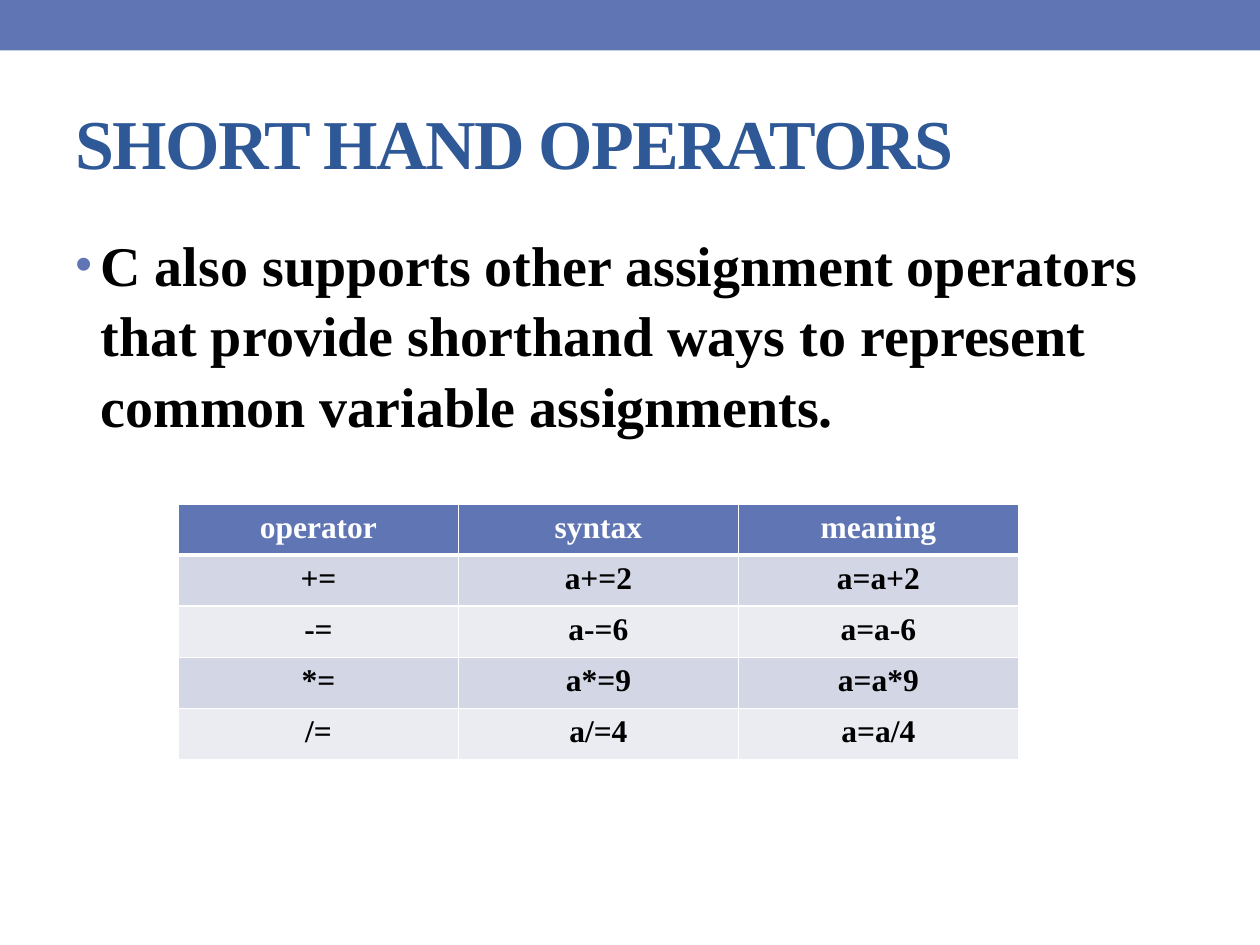
import dataclasses
import typing

import pptx
import pptx.dml.color
import pptx.enum.shapes
import pptx.enum.text
import pptx.oxml
import pptx.oxml.ns
import pptx.util

Pt = pptx.util.Pt
RGB = pptx.dml.color.RGBColor
ALIGN = pptx.enum.text.PP_ALIGN
ANCHOR = pptx.enum.text.MSO_ANCHOR
NS = pptx.oxml.ns.nsdecls("a")


@dataclasses.dataclass(frozen=True)
class Theme:
    font: str = "Times New Roman"
    accent: str = "6076B4"
    title: str = "2F5897"
    text: str = "000000"
    light: str = "FFFFFF"
    bands: tuple[str, str] = ("D2D6E5", "EAECF2")
    title_size: float = 40
    body_size: float = 32
    table_size: float = 18


class Box(typing.NamedTuple):
    left: float
    top: float
    width: float
    height: float

    def lengths(self) -> list[pptx.util.Length]:
        return [Pt(v) for v in self]


class Row(typing.NamedTuple):
    operator: str
    syntax: str
    meaning: str


THEME = Theme()
BAND = Box(0, 0, 720, 28.8)
TITLE = Box(36, 42, 648, 78)
BODY = Box(36, 126, 648, 384)
TABLE = Box(102, 288, 480, 146)
ROWS = [
    Row("operator", "syntax", "meaning"),
    Row("+=", "a+=2", "a=a+2"),
    Row("-=", "a-=6", "a=a-6"),
    Row("*=", "a*=9", "a=a*9"),
    Row("/=", "a/=4", "a=a/4"),
]


def style(p, size: float, color: str, align=ALIGN.LEFT) -> None:
    p.alignment = align
    p.font.name = THEME.font
    p.font.size = Pt(size)
    p.font.bold = True
    p.font.color.rgb = RGB.from_string(color)


def add_band(slide) -> None:
    sp = slide.shapes.add_shape(
        pptx.enum.shapes.MSO_SHAPE.RECTANGLE, *BAND.lengths())
    sp.shadow.inherit = False
    sp.fill.solid()
    sp.fill.fore_color.rgb = RGB.from_string(THEME.accent)
    sp.line.fill.background()


def set_title(slide, text: str) -> None:
    sp = slide.shapes.title
    sp.left, sp.top, sp.width, sp.height = TITLE.lengths()
    tf = sp.text_frame
    tf.text = text
    tf.vertical_anchor = ANCHOR.MIDDLE
    p = tf.paragraphs[0]
    style(p, THEME.title_size, THEME.title)
    p.runs[0].font._element.set("spc", "-100")


def add_body(slide, text: str) -> None:
    tf = slide.shapes.add_textbox(*BODY.lengths()).text_frame
    tf.word_wrap = True
    tf.text = text
    p = tf.paragraphs[0]
    style(p, THEME.body_size, THEME.text)
    p.line_spacing = 1.05
    add_bullet(p, indent=14.4)


def add_bullet(p, indent: float) -> None:
    pPr = p._p.get_or_add_pPr()
    pPr.set("marL", str(Pt(indent)))
    pPr.set("indent", str(-Pt(indent)))
    bullet = (
        f'<a:buClr {NS}><a:srgbClr val="{THEME.accent}"/></a:buClr>',
        f'<a:buSzPct {NS} val="85000"/>',
        f'<a:buFont {NS} typeface="Arial"/>',
        f'<a:buChar {NS} char="•"/>',
    )
    at = 1 + pPr.index(pPr.find(pptx.oxml.ns.qn("a:lnSpc")))
    for offset, xml in enumerate(bullet):
        pPr.insert(at + offset, pptx.oxml.parse_xml(xml))


def set_borders(cell, top: float, bottom: float) -> None:
    """Rule all four sides; the schema wants the lines before the fill."""
    tcPr = cell._tc.get_or_add_tcPr()
    sides = {"lnL": 1, "lnR": 1, "lnT": top, "lnB": bottom}
    for i, (side, width) in enumerate(sides.items()):
        tcPr.insert(i, pptx.oxml.parse_xml(
            f'<a:{side} {NS} w="{Pt(width)}"><a:solidFill>'
            f'<a:srgbClr val="{THEME.light}"/></a:solidFill></a:{side}>'))


def fill_cell(cell, text: str, row: int) -> None:
    header = row == 0
    cell.text = text
    style(cell.text_frame.paragraphs[0], THEME.table_size,
          THEME.light if header else THEME.text, ALIGN.CENTER)
    cell.fill.solid()
    cell.fill.fore_color.rgb = RGB.from_string(
        THEME.accent if header else THEME.bands[(row - 1) % 2])
    set_borders(cell, top=3 if row == 1 else 1, bottom=3 if header else 1)


def add_operator_table(slide, rows: list[Row]) -> None:
    table = slide.shapes.add_table(
        len(rows), len(Row._fields), *TABLE.lengths()).table
    for r, row in enumerate(rows):
        for c, text in enumerate(row):
            fill_cell(table.cell(r, c), text, r)


def main() -> None:
    prs = pptx.Presentation()
    prs.slide_width, prs.slide_height = Pt(720), Pt(540)
    slide = prs.slides.add_slide(prs.slide_layouts.get_by_name("Title Only"))
    add_band(slide)
    set_title(slide, "SHORT HAND OPERATORS")
    add_body(slide, "C also supports other assignment operators that provide "
                    "shorthand ways to represent common variable assignments.")
    add_operator_table(slide, ROWS)
    prs.save("out.pptx")


if __name__ == "__main__":
    main()
